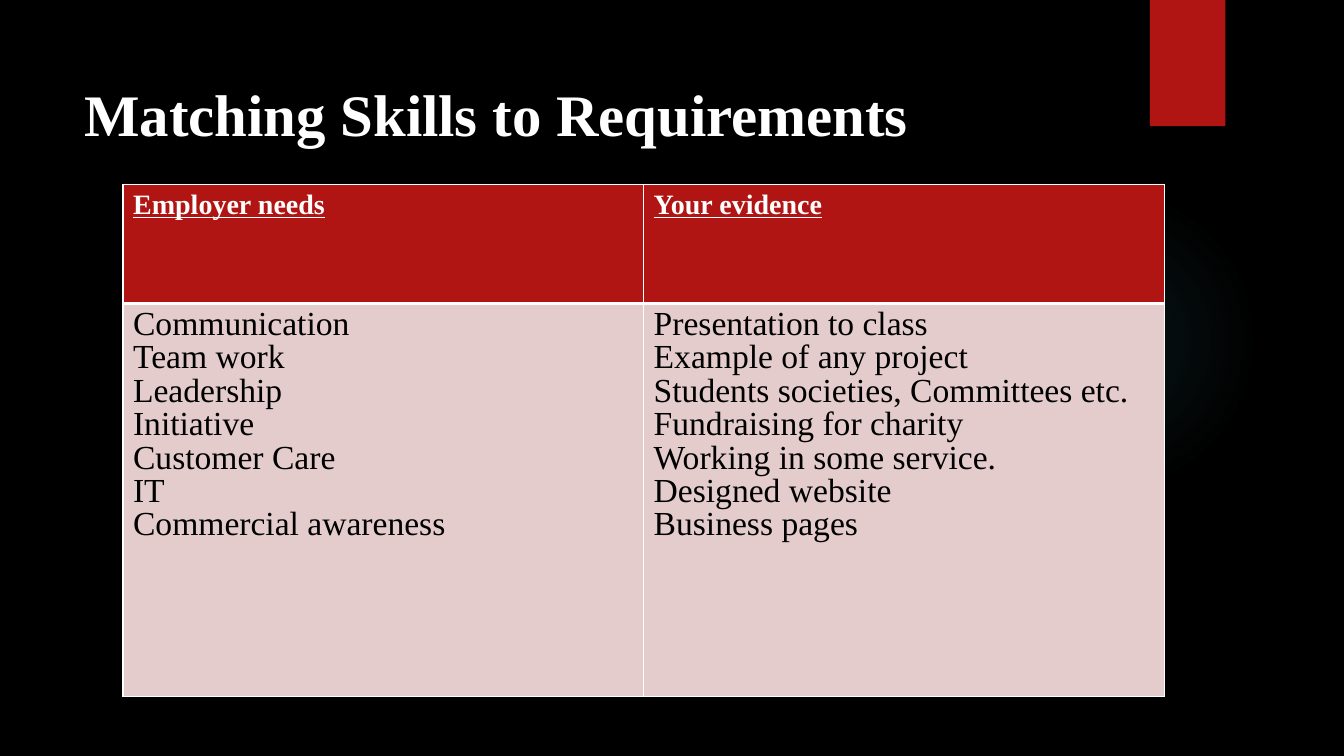
from dataclasses import dataclass

from lxml.etree import SubElement
from pptx import Presentation
from pptx.dml.color import RGBColor
from pptx.enum.shapes import MSO_SHAPE
from pptx.enum.text import MSO_ANCHOR
from pptx.oxml import parse_xml
from pptx.oxml.ns import nsdecls, qn
from pptx.shapes.autoshape import Shape
from pptx.slide import Slide
from pptx.table import _Cell
from pptx.text.text import _Paragraph
from pptx.util import Cm, Pt

COLORS = {
    "background": "000000",
    "accent": "B01513",
    "glow": "50B9C1",
    "light": "FFFFFF",
    "body_fill": "E4CCCC",
    "body_text": "000000",
}
FONT = "Times New Roman"


@dataclass(frozen=True)
class Box:
    left: float
    top: float
    width: float
    height: float

    def lengths(self) -> tuple[Cm, Cm, Cm, Cm]:
        return Cm(self.left), Cm(self.top), Cm(self.width), Cm(self.height)


@dataclass(frozen=True)
class RowStyle:
    height: float
    fill: str
    text: str
    size: int
    heading: bool
    line_spacing: float
    bottom_border: int


@dataclass(frozen=True)
class SkillColumn:
    heading: str
    entries: tuple[str, ...]


GLOW = Box(23.9, 4.65, 7.82, 7.82)
RIBBON = Box(28.98, 0, 1.9, 3.18)
TITLE = Box(1.88, 1.7, 23.88, 2.29)
TABLE = Box(3.1, 4.65, 26.24, 12.9)

HEADING_ROW = RowStyle(3.0, "accent", "light", 20, True, 1.0, 3)
ENTRY_ROW = RowStyle(9.9, "body_fill", "body_text", 24, False, 0.9, 1)

SKILL_COLUMNS = (
    SkillColumn("Employer needs", (
        "Communication", "Team work", "Leadership", "Initiative",
        "Customer Care", "IT", "Commercial awareness",
    )),
    SkillColumn("Your evidence", (
        "Presentation to class", "Example of any project",
        "Students societies, Committees etc.", "Fundraising for charity",
        "Working in some service.", "Designed website", "Business pages",
    )),
)


def color(name: str) -> RGBColor:
    return RGBColor.from_string(COLORS[name])


def style_text(paragraph: _Paragraph, size: int, text_color: str, bold: bool) -> None:
    font = paragraph.font
    font.name, font.size, font.bold = FONT, Pt(size), bold
    font.color.rgb = color(text_color)


def add_plain_shape(slide: Slide, kind: MSO_SHAPE, box: Box, fill: str) -> Shape:
    shape = slide.shapes.add_shape(kind, *box.lengths())
    shape.shadow.inherit = False
    shape.fill.solid()
    shape.fill.fore_color.rgb = color(fill)
    shape.line.fill.background()
    return shape


def add_glow(slide: Slide) -> None:
    """Add a circle whose colour fades out from its centre."""
    glow = add_plain_shape(slide, MSO_SHAPE.OVAL, GLOW, "glow")
    stops = "".join(
        f'<a:gs pos="{position * 1000}"><a:srgbClr val="{COLORS["glow"]}">'
        f'<a:alpha val="{opacity * 1000}"/></a:srgbClr></a:gs>'
        for position, opacity in ((0, 7), (36, 6), (69, 0), (100, 0))
    )
    gradient = parse_xml(
        f'<a:gradFill {nsdecls("a")}><a:gsLst>{stops}</a:gsLst><a:path path="circle">'
        '<a:fillToRect l="50000" t="50000" r="50000" b="50000"/></a:path></a:gradFill>'
    )
    properties = glow._element.spPr
    properties.replace(properties.find(qn("a:solidFill")), gradient)


def add_title(slide: Slide, title: str) -> None:
    frame = slide.shapes.add_textbox(*TITLE.lengths()).text_frame
    frame.word_wrap = True
    frame.vertical_anchor = MSO_ANCHOR.MIDDLE
    frame.text = title
    style_text(frame.paragraphs[0], 42, "light", True)


def add_borders(cell: _Cell, top: int, bottom: int) -> None:
    properties = cell._tc.get_or_add_tcPr()
    for side, width in (("L", 1), ("R", 1), ("T", top), ("B", bottom)):
        line = SubElement(properties, qn(f"a:ln{side}"), w=str(Pt(width)))
        fill = SubElement(line, qn("a:solidFill"))
        SubElement(fill, qn("a:srgbClr"), val=COLORS["light"])


def fill_cell(cell: _Cell, lines: tuple[str, ...], style: RowStyle, top_border: int) -> None:
    add_borders(cell, top_border, style.bottom_border)
    cell.fill.solid()
    cell.fill.fore_color.rgb = color(style.fill)
    cell.text = "\n".join(lines)
    for paragraph in cell.text_frame.paragraphs:
        paragraph.line_spacing = style.line_spacing
        style_text(paragraph, style.size, style.text, style.heading)
        paragraph.font.underline = style.heading


def add_skills_table(slide: Slide) -> None:
    table = slide.shapes.add_table(2, len(SKILL_COLUMNS), *TABLE.lengths()).table
    for row, style in zip(table.rows, (HEADING_ROW, ENTRY_ROW)):
        row.height = Cm(style.height)
    for index, column in enumerate(SKILL_COLUMNS):
        table.columns[index].width = Cm(TABLE.width / len(SKILL_COLUMNS))
        fill_cell(table.cell(0, index), (column.heading,), HEADING_ROW, 1)
        fill_cell(table.cell(1, index), column.entries, ENTRY_ROW, HEADING_ROW.bottom_border)


def main() -> None:
    presentation = Presentation()
    presentation.slide_width, presentation.slide_height = Cm(33.87), Cm(19.05)
    slide = presentation.slides.add_slide(presentation.slide_layouts[6])
    slide.background.fill.solid()
    slide.background.fill.fore_color.rgb = color("background")
    add_glow(slide)
    add_plain_shape(slide, MSO_SHAPE.RECTANGLE, RIBBON, "accent")
    add_title(slide, "Matching Skills to Requirements")
    add_skills_table(slide)
    presentation.save("out.pptx")


if __name__ == "__main__":
    main()
